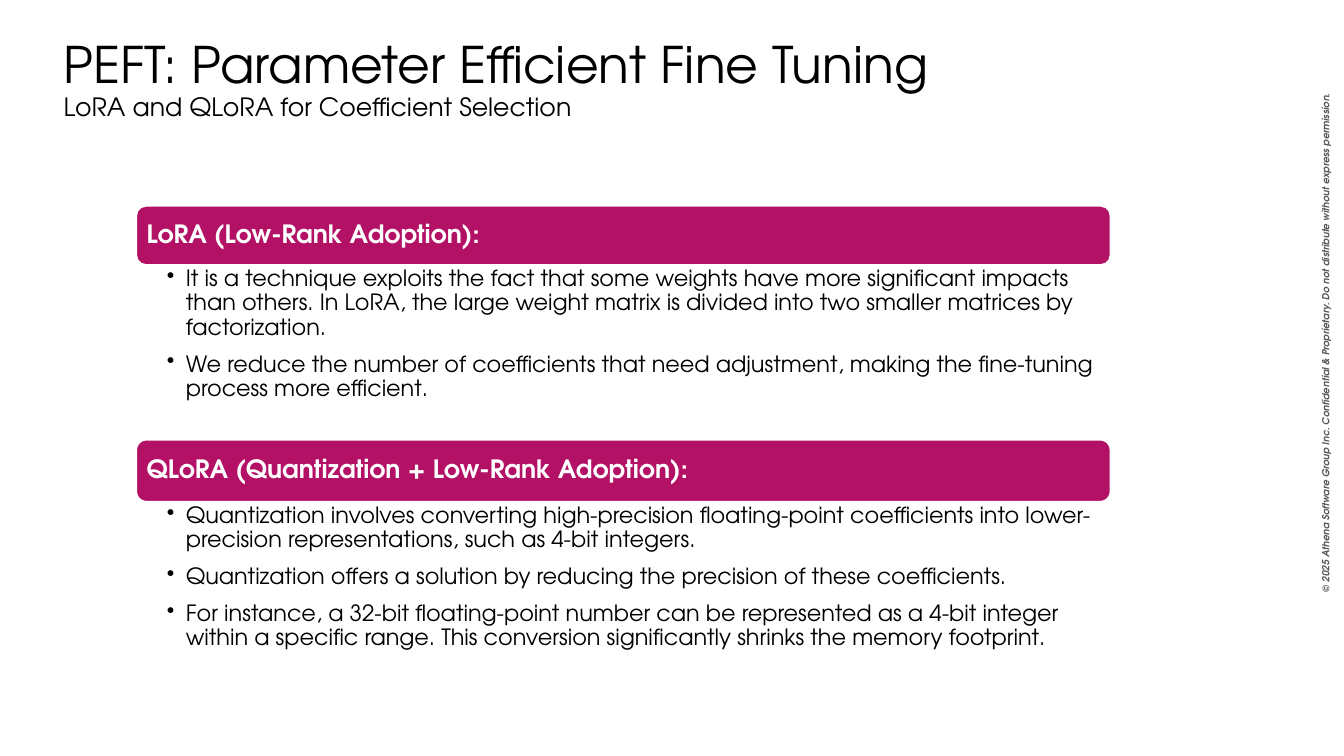
from dataclasses import dataclass
from typing import Any

from lxml import etree
from pptx import Presentation
from pptx.dml.color import RGBColor
from pptx.enum import shapes, text
from pptx.oxml.ns import qn
from pptx.util import Pt

FACE = "TeX Gyre Adventor"
COLORS = {"black": "000000", "white": "FFFFFF", "plum": "B31166", "gray": "595959"}
LEFT, WIDTH = 97.2, 696.2
INDENT = 13.5


@dataclass
class Topic:
    top: float
    bar: float
    body: float
    head: str
    points: list[str]


TOPICS = [
    Topic(146.9, 42.5, 124.6, "LoRA (Low-Rank Adoption):", [
        "It is a technique exploits the fact that some weights have more "
        "significant impacts than others. In LoRA, the large weight matrix is "
        "divided into two smaller matrices by factorization.",
        "We reduce the number of coefficients that need adjustment, making the "
        "fine-tuning process more efficient.",
    ]),
    Topic(313.9, 44.6, 113.8, "QLoRA (Quantization + Low-Rank Adoption):", [
        "Quantization involves converting high-precision floating-point "
        "coefficients into lower-precision representations, such as 4-bit integers.",
        "Quantization offers a solution by reducing the precision of these "
        "coefficients.",
        "For instance, a 32-bit floating-point number can be represented as a "
        "4-bit integer within a specific range. This conversion significantly "
        "shrinks the memory footprint.",
    ]),
]


def rgb(name: str) -> RGBColor:
    return RGBColor.from_string(COLORS[name])


def assign(obj: Any, **values: Any) -> None:
    """Set each named attribute of obj."""
    for name, value in values.items():
        setattr(obj, name, value)


def style(font: Any, size: float, color: str, **more: Any) -> None:
    assign(font, name=FACE, size=Pt(size), **more)
    font.color.rgb = rgb(color)


def inset(frame: Any, left: float, top: float, right: float, low: float) -> None:
    assign(frame, word_wrap=True, margin_left=Pt(left), margin_top=Pt(top),
           margin_right=Pt(right), margin_bottom=Pt(low))


def bullet(para: Any) -> None:
    """Give the paragraph a hanging round bullet."""
    props = para._p.get_or_add_pPr()
    props.set("marL", str(Pt(INDENT)))
    props.set("indent", str(-Pt(INDENT)))
    etree.SubElement(props, qn("a:buChar")).set("char", "•")


def add_title(slide: Any) -> None:
    title = slide.shapes.title
    assign(title, left=Pt(38.2), top=Pt(14.4), width=Pt(815), height=Pt(86.4))
    frame = title.text_frame
    assign(frame, word_wrap=True, vertical_anchor=text.MSO_ANCHOR.MIDDLE,
           auto_size=text.MSO_AUTO_SIZE.NONE)
    para = frame.paragraphs[0]
    assign(para, alignment=text.PP_ALIGN.LEFT, line_spacing=0.9)
    main = para.add_run()
    main.text = "PEFT: Parameter Efficient Fine Tuning"
    style(main.font, 36, "black")
    para.add_line_break()
    sub = para.add_run()
    sub.text = "LoRA and QLoRA for Coefficient Selection"
    style(sub.font, 18, "black")


def add_notice(slide: Any) -> None:
    box = slide.shapes.add_textbox(Pt(732.2), Pt(231.1), Pt(429.1), Pt(27.4))
    box.rotation = 270
    frame = box.text_frame
    assign(frame, word_wrap=True, vertical_anchor=text.MSO_ANCHOR.MIDDLE)
    para = frame.paragraphs[0]
    assign(para, alignment=text.PP_ALIGN.CENTER,
           text="© 2025 Athena Software Group Inc. Confidential & Proprietary. "
                "Do not distribute without express permission.")
    style(para.font, 7, "gray", bold=True, italic=True)


def add_bar(slide: Any, topic: Topic) -> None:
    bar = slide.shapes.add_shape(shapes.MSO_SHAPE.ROUNDED_RECTANGLE, Pt(LEFT),
                                 Pt(topic.top), Pt(WIDTH), Pt(topic.bar))
    bar.shadow.inherit = False
    bar.fill.solid()
    bar.fill.fore_color.rgb = rgb("plum")
    bar.line.color.rgb = rgb("white")
    bar.line.width = Pt(1.5)
    frame = bar.text_frame
    inset(frame, 5.4, 5.4, 5.4, 5.4)
    frame.vertical_anchor = text.MSO_ANCHOR.MIDDLE
    para = frame.paragraphs[0]
    assign(para, text=topic.head, alignment=text.PP_ALIGN.LEFT, line_spacing=0.9)
    style(para.font, 18, "white", bold=True)


def add_points(slide: Any, topic: Topic) -> None:
    box = slide.shapes.add_textbox(Pt(LEFT), Pt(topic.top + topic.bar),
                                   Pt(WIDTH), Pt(topic.body))
    frame = box.text_frame
    inset(frame, 22.1, 1.6, 8.6, 1.6)
    for i, point in enumerate(topic.points):
        para = frame.add_paragraph() if i else frame.paragraphs[0]
        bullet(para)
        assign(para, text=point, line_spacing=0.9, space_after=Pt(3.2),
               space_before=Pt(6 if i else 0))
        style(para.font, 16, "black")


def main() -> None:
    deck = Presentation()
    assign(deck, slide_width=Pt(960), slide_height=Pt(540))
    slide = deck.slides.add_slide(deck.slide_layouts.get_by_name("Title Only"))
    add_notice(slide)
    add_title(slide)
    for topic in TOPICS:
        add_bar(slide, topic)
        add_points(slide, topic)
    deck.save("out.pptx")


if __name__ == "__main__":
    main()
